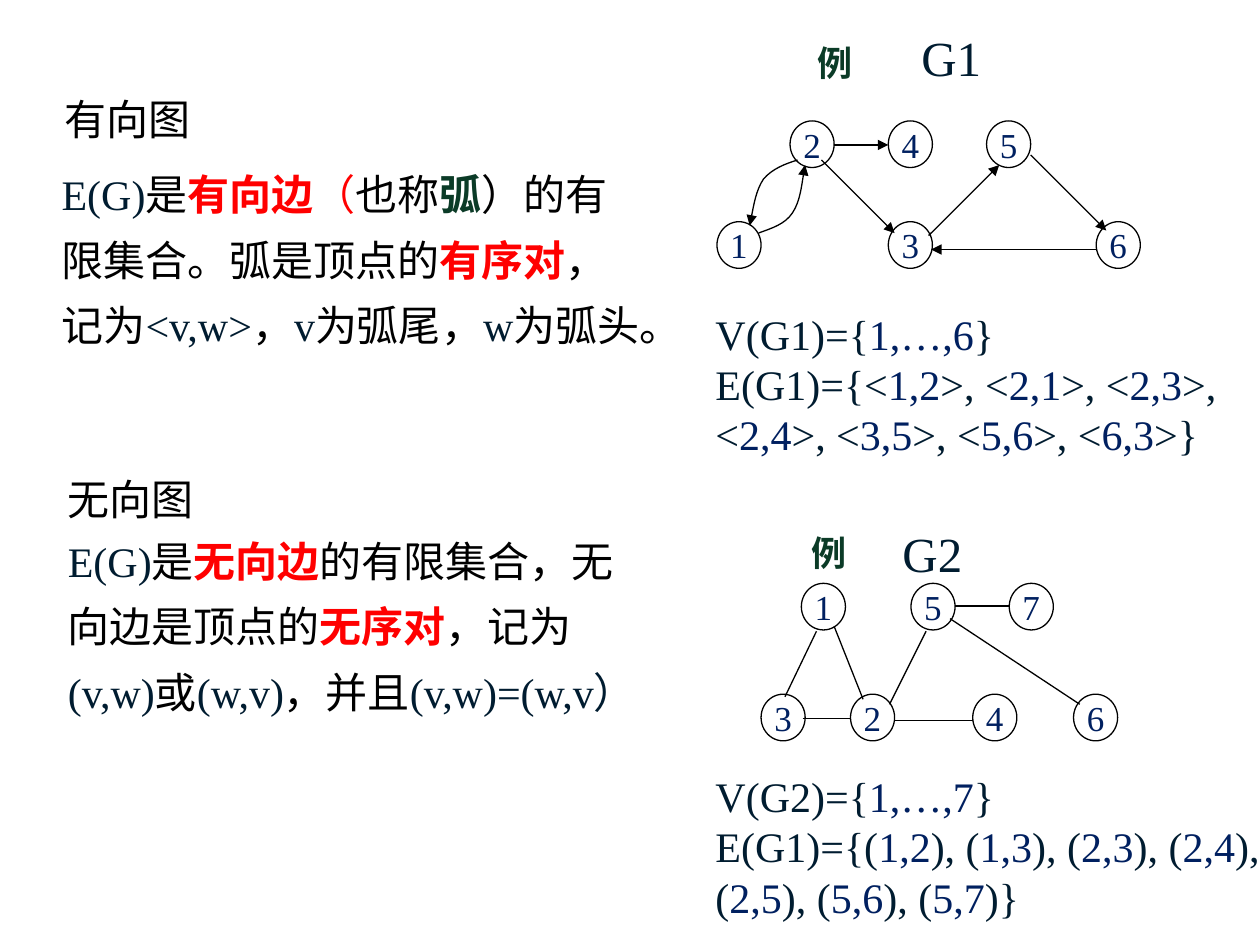
from lxml import etree
from pptx import Presentation
from pptx.dml.color import RGBColor
from pptx.enum.shapes import MSO_CONNECTOR, MSO_SHAPE
from pptx.enum.text import MSO_ANCHOR, PP_ALIGN
from pptx.oxml.ns import qn
from pptx.util import Inches, Pt

LINE, OVAL = MSO_CONNECTOR.STRAIGHT, MSO_SHAPE.OVAL
MID, TOP = MSO_ANCHOR.MIDDLE, MSO_ANCHOR.TOP
LEFT, MIDDLE = PP_ALIGN.LEFT, PP_ALIGN.CENTER
FONT = "Times New Roman"
HUE = {"ink": "001C30", "navy": "002060", "green": "0B3B27",
       "red": "FF0000", "black": "000000"}
BOLD = "bold"

prs = Presentation()
prs.slide_width, prs.slide_height = Inches(10), Inches(7.5)
slide = prs.slides.add_slide(prs.slide_layouts[6])
shapes = slide.shapes


def write(shape, paras, size, align=LEFT, anchor=MID, wrap=True, gap=1):
    """Fill a shape with paragraphs, each a list of (text, hue, bold...) runs."""
    frame = shape.text_frame
    frame.word_wrap = wrap
    frame.vertical_anchor = anchor
    for i, runs in enumerate(paras):
        para = frame.add_paragraph() if i else frame.paragraphs[0]
        para.alignment = align
        para.line_spacing = gap
        para.font.name, para.font.size = FONT, Pt(size)
        for text, hue, *style in runs:
            run = para.add_run()
            run.text = text
            run.font.color.rgb = RGBColor.from_string(HUE[hue])
            if BOLD in style:
                run.font.bold = True


def stroke(shape, arrow):
    """Draw a thin black line without shadow, with an arrowhead if asked."""
    shape.line.color.rgb = RGBColor.from_string(HUE["black"])
    shape.line.width = Pt(0.75)
    props = shape._element.spPr
    if arrow:
        tail = etree.SubElement(shape.line._get_or_add_ln(), qn("a:tailEnd"))
        tail.set("type", "triangle")
    if props.find(qn("a:effectLst")) is None:
        etree.SubElement(props, qn("a:effectLst"))


# Both graphs: labels, nodes, edges
top, low = 0.96, 1.76
graphs = [
    {"name": ("G1", 7.21, 0.17), "tag": (6.39, 0.28), "arrow": True,
     "nodes": [(2, 6.27, top), (4, 7.05, top), (5, 7.83, top),
               (1, 5.69, low), (3, 7.05, low), (6, 8.7, low)],
     "edges": [(6.62, 1.15, 7.05, 1.15), (6.52, 1.27, 7.1, 1.85),
               (8.7, 1.98, 7.39, 1.98), (7.37, 1.87, 7.93, 1.31),
               (8.18, 1.23, 8.78, 1.83)]},
    {"name": ("G2", 7.06, 4.1), "tag": (6.34, 4.17), "arrow": False,
     "nodes": [(1, 6.36, 4.63), (5, 7.23, 4.63), (7, 8.01, 4.63),
               (3, 6.04, 5.51), (2, 6.75, 5.51), (4, 7.72, 5.51),
               (6, 8.52, 5.51)],
     "edges": [(6.48, 5.01, 6.23, 5.53), (6.37, 5.7, 6.75, 5.7),
               (6.62, 4.97, 6.85, 5.55), (7.35, 5.01, 7.06, 5.59),
               (7.1, 5.72, 7.72, 5.72), (7.58, 4.81, 8.01, 4.81),
               (7.54, 4.91, 8.57, 5.59)]},
]
for graph in graphs:
    x, y = graph["tag"]
    box = shapes.add_textbox(Inches(x), Inches(y), Inches(0.48), Inches(0.43))
    write(box, [[("例", "green", BOLD)]], 20, MIDDLE, wrap=False)
    name, x, y = graph["name"]
    box = shapes.add_textbox(Inches(x), Inches(y), Inches(0.68), Inches(0.57))
    write(box, [[(name, "ink")]], 28, MIDDLE, wrap=False)
    for num, x, y in graph["nodes"]:
        node = shapes.add_shape(OVAL, Inches(x), Inches(y),
                                Inches(0.35), Inches(0.37))
        node.fill.background()
        stroke(node, False)
        write(node, [[(str(num), "navy")]], 20, MIDDLE, wrap=False)
    for ends in graph["edges"]:
        edge = shapes.add_connector(LINE, *[Inches(v) for v in ends])
        stroke(edge, graph["arrow"])

# Curved arcs between nodes 1 and 2: start, then three points per curve
arcs = [
    [(6.33, 1.27), (6.23, 1.3), (6.13, 1.34), (6.06, 1.42),
     (6, 1.51), (5.96, 1.74), (5.95, 1.79)],
    [(6.02, 1.85), (6.13, 1.81), (6.23, 1.78), (6.29, 1.69),
     (6.35, 1.6), (6.38, 1.36), (6.39, 1.31)],
]
for arc in arcs:
    start, *rest = [(Inches(x), Inches(y)) for x, y in arc]
    form = shapes.build_freeform(*start)
    form.add_line_segments(rest, close=False)
    bend = form.convert_to_shape()
    bend.fill.background()
    stroke(bend, True)
    track = bend._element.find(".//" + qn("a:path"))
    steps = track.findall(qn("a:lnTo"))
    for i in range(0, len(steps), 3):
        curve = etree.SubElement(track, qn("a:cubicBezTo"))
        for step in steps[i:i + 3]:
            curve.append(step[0])
            track.remove(step)

# Vertex and edge sets: every second part between bars is navy
sets = [
    (2.39, 4.61, ["V(G1)={|1,…,6|}",
                  "E(G1)={<|1,2|>, <|2,1|>, <|2,3|>, <|2,4|>, <|3,5|>, <|5,6|>, <|6,3|>}"]),
    (6.06, 4.78, ["V(G2)={|1,…,7|}",
                  "E(G1)={(|1,2|), (|1,3|), (|2,3|), (|2,4|),(|2,5|), (|5,6|), (|5,7|)}"]),
]
for y, w, rows in sets:
    box = shapes.add_textbox(Inches(5.58), Inches(y), Inches(w), Inches(1.31))
    paras = [[(part, ("ink", "navy")[i % 2])
              for i, part in enumerate(row.split("|"))] for row in rows]
    write(box, paras, 24)

# Definitions on the left: heading and body
notes = [
    ("有向图", 0.41, 0.69, 0.39, 1.17, [
        ("E(G)", "ink"), ("是", "black"), ("有向边", "red", BOLD),
        ("（", "red"), ("也称", "black"), ("弧", "green", BOLD),
        ("）的有限集合。弧是顶点的", "black"), ("有序对", "red", BOLD),
        ("，记为", "black"), ("<v,w>", "ink"), ("，", "black"), ("v", "ink"),
        ("为弧尾，", "black"), ("w", "ink"), ("为弧头。", "black")]),
    ("无向图", 0.44, 3.71, 0.44, 4.08, [
        ("E(G)", "ink"), ("是", "black"), ("无向边", "red", BOLD),
        ("的有限集合，无向边是顶点的", "black"), ("无序对", "red", BOLD),
        ("，记为", "black"), ("(v,w)", "ink"), ("或", "black"),
        ("(w,v)", "ink"), ("，并且", "black"), ("(v,w)=(w,v）", "ink")]),
]
for head, hx, hy, x, y, runs in notes:
    box = shapes.add_textbox(Inches(hx), Inches(hy), Inches(1.29), Inches(0.5))
    write(box, [[(head, "black")]], 24, anchor=TOP)
    box = shapes.add_textbox(Inches(x), Inches(y), Inches(4.79), Inches(1.62))
    write(box, [runs], 24, anchor=TOP, gap=1.3)

prs.save("out.pptx")
